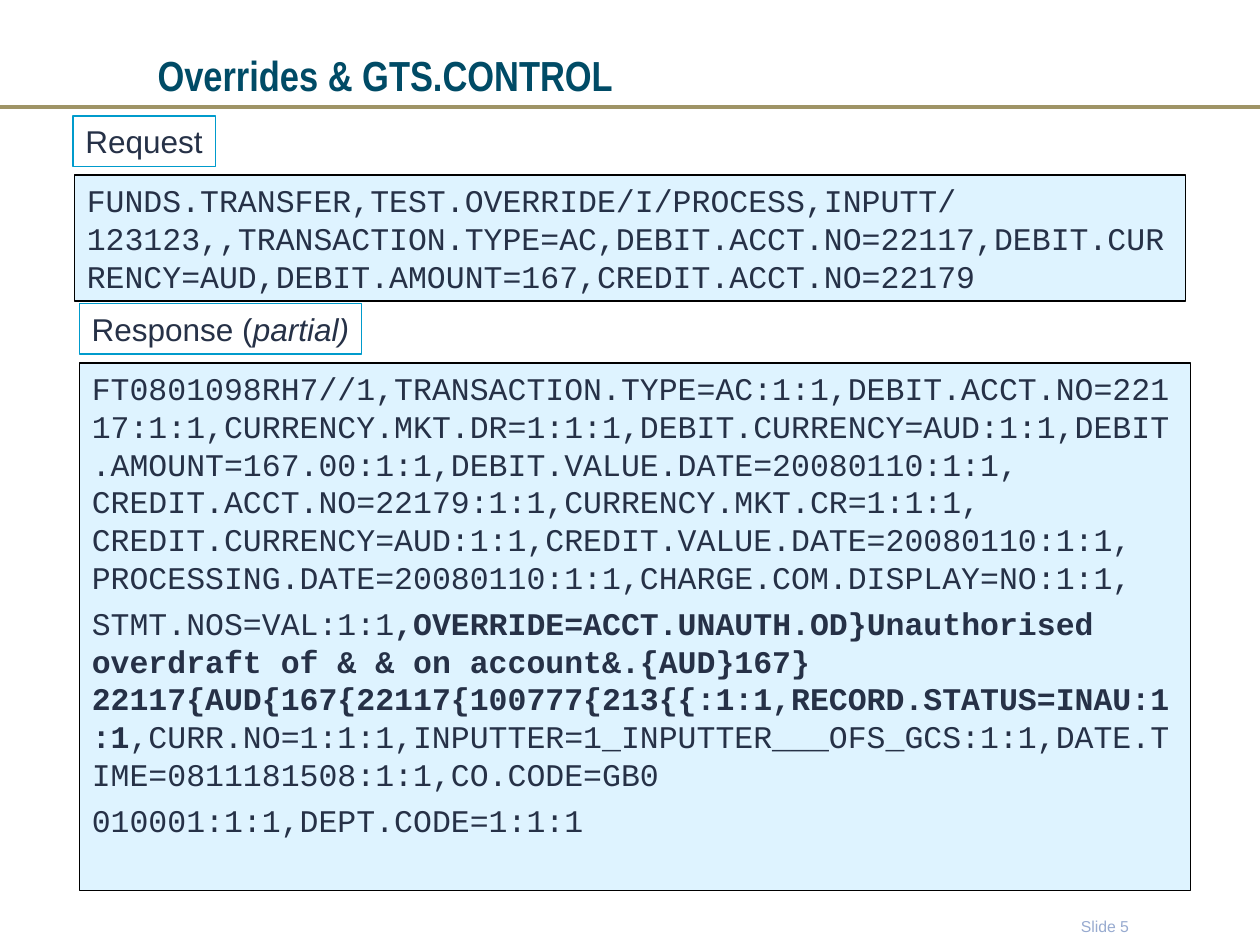
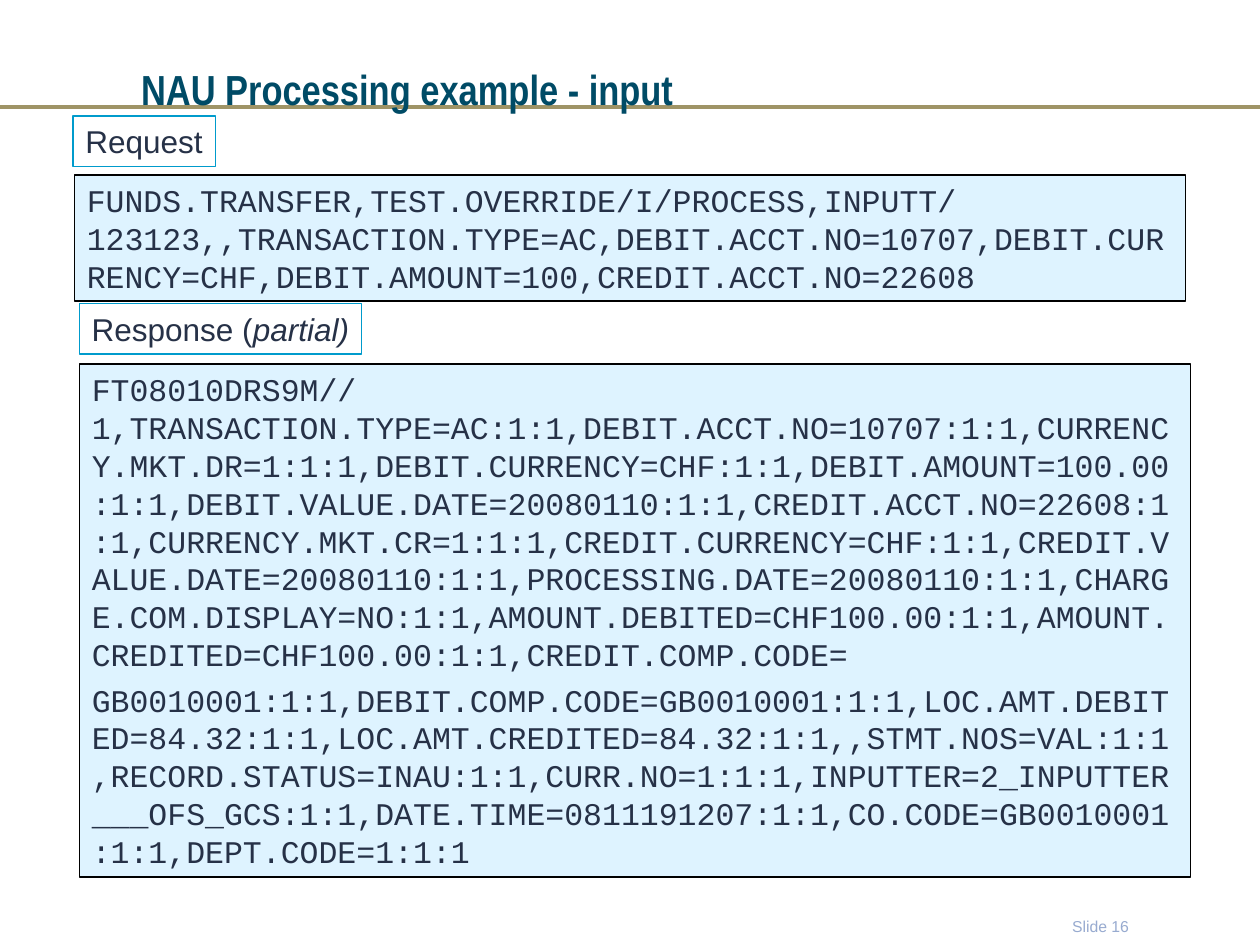
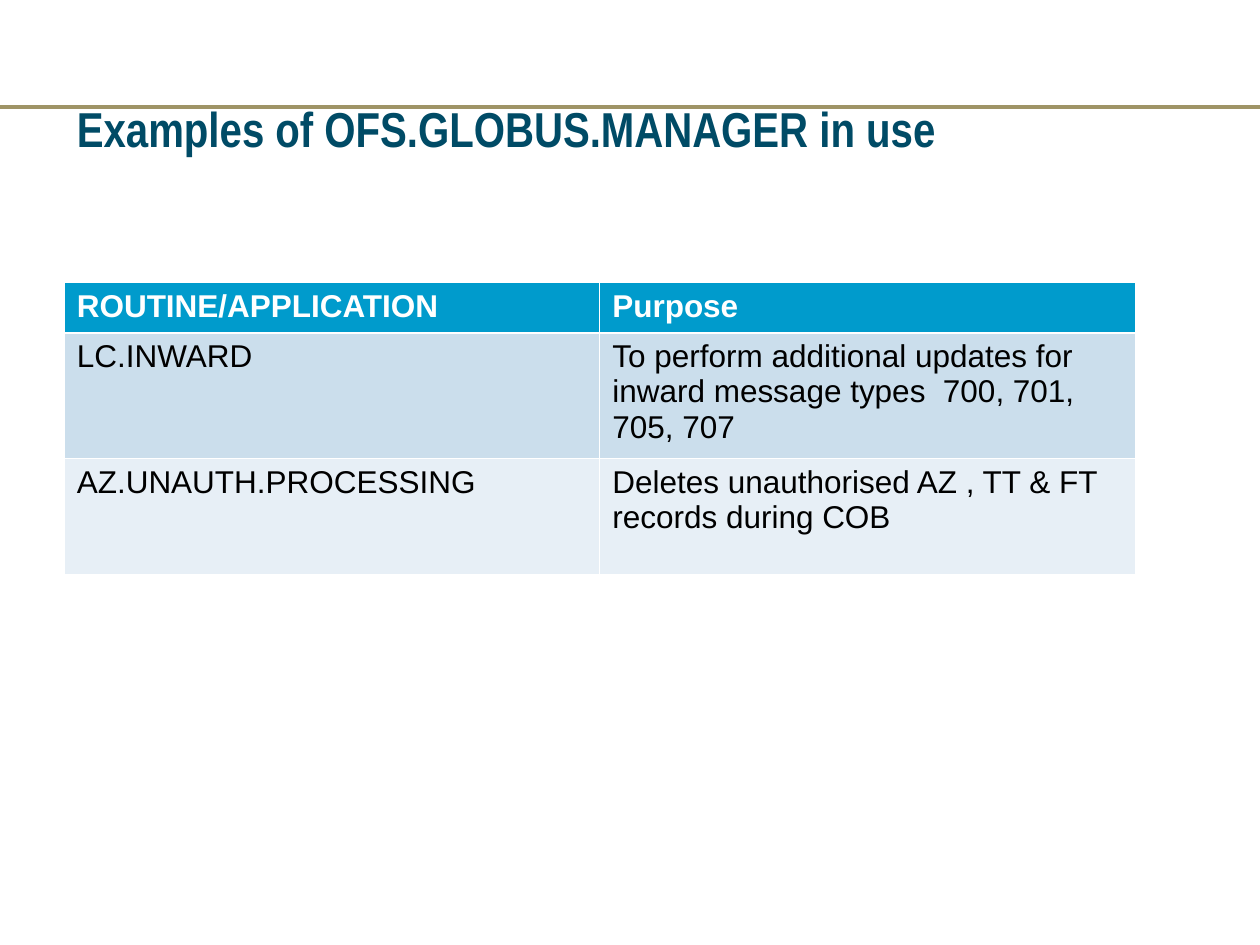
from lxml import etree
from pptx import Presentation
from pptx.dml.color import RGBColor
from pptx.enum.shapes import MSO_CONNECTOR, MSO_SHAPE
from pptx.enum.text import MSO_ANCHOR, MSO_AUTO_SIZE, PP_ALIGN
from pptx.oxml import parse_xml
from pptx.oxml.ns import nsdecls, qn
from pptx.util import Inches, Pt

GOLD = RGBColor(0x9F, 0x94, 0x66)
TEAL = RGBColor(0x00, 0x4B, 0x66)
NAVY = RGBColor(0x26, 0x31, 0x47)
BLUE = RGBColor(0x00, 0x9B, 0xCC)
PALE_BLUE = RGBColor(0xCC, 0xEC, 0xFF)
GREY_BLUE = RGBColor(0x98, 0xAB, 0xD0)
BLACK = RGBColor(0x00, 0x00, 0x00)
WHITE = RGBColor(0xFF, 0xFF, 0xFF)
ROW_FILLS = [BLUE, RGBColor(0xCB, 0xDE, 0xEC), RGBColor(0xE7, 0xEF, 0xF6)]


def write(text_frame, paragraphs, font="Arial", size=18, color=NAVY, bold=False,
          align=PP_ALIGN.LEFT, space_before=0, line_spacing=None):
    """Fill a text frame; each paragraph is a string or a list of (text, style) runs."""
    for index, content in enumerate(paragraphs):
        paragraph = text_frame.add_paragraph() if index else text_frame.paragraphs[0]
        paragraph.alignment = align
        paragraph.space_before = Pt(space_before if index else 0)
        paragraph.line_spacing = line_spacing
        for text, style in [(content, "")] if isinstance(content, str) else content:
            run = paragraph.add_run()
            run.text = text
            run.font.name = font
            run.font.size = Pt(size)
            run.font.color.rgb = color
            run.font.bold = bold or style == "bold"
            run.font.italic = style == "italic"


def add_box(slide, left, top, width, height, line_color):
    box = slide.shapes.add_shape(MSO_SHAPE.RECTANGLE, Inches(left), Inches(top),
                                 Inches(width), Inches(height))
    box.shadow.inherit = False
    box.fill.background()
    box.line.color.rgb = line_color
    box.line.width = Pt(0.75)
    box.text_frame.vertical_anchor = MSO_ANCHOR.TOP
    return box


presentation = Presentation()
presentation.slide_width = Inches(10)
presentation.slide_height = Inches(7.5)

# Slides with their titles: text, left, top, height, size
titles = [
    ("Overrides & GTS.CONTROL", 1.15, 0.32, 0.54, 24),
    ("NAU Processing example - input", 1.02, 0.43, 0.54, 24),
    ("Examples of OFS.GLOBUS.MANAGER in use", 0.51, 0.78, 0.47, 28),
]
slides = []
for text, left, top, height, size in titles:
    slide = presentation.slides.add_slide(presentation.slide_layouts[5])
    title = slide.shapes.title
    title.left, title.top = Inches(left), Inches(top)
    title.width, title.height = Inches(8.98), Inches(height)
    title.text_frame.auto_size = MSO_AUTO_SIZE.NONE
    title.text_frame.vertical_anchor = MSO_ANCHOR.MIDDLE
    write(title.text_frame, [text], font="Arial Narrow", size=size, color=TEAL, bold=True)
    slides.append(slide)

# The gold rule belongs to the master, behind every title
rule = slides[0].shapes.add_connector(MSO_CONNECTOR.STRAIGHT, 0, Inches(0.85),
                                      Inches(10), Inches(0.85))
rule.line.color.rgb = GOLD
rule.line.width = Pt(2)
etree.SubElement(rule._element.spPr, qn("a:effectLst"))
presentation.slide_master.shapes._spTree.append(rule._element)

# Request and response slides
examples = [
    {
        "footer": "Slide 5",
        "request": "FUNDS.TRANSFER,TEST.OVERRIDE/I/PROCESS,INPUTT/123123,,"
                   "TRANSACTION.TYPE=AC,DEBIT.ACCT.NO=22117,DEBIT.CURRENCY=AUD,"
                   "DEBIT.AMOUNT=167,CREDIT.ACCT.NO=22179",
        "response": [
            "FT0801098RH7//1,TRANSACTION.TYPE=AC:1:1,DEBIT.ACCT.NO=22117:1:1,"
            "CURRENCY.MKT.DR=1:1:1,DEBIT.CURRENCY=AUD:1:1,DEBIT.AMOUNT=167.00:1:1,"
            "DEBIT.VALUE.DATE=20080110:1:1, CREDIT.ACCT.NO=22179:1:1,"
            "CURRENCY.MKT.CR=1:1:1, CREDIT.CURRENCY=AUD:1:1,"
            "CREDIT.VALUE.DATE=20080110:1:1, PROCESSING.DATE=20080110:1:1,"
            "CHARGE.COM.DISPLAY=NO:1:1,",
            [("STMT.NOS=VAL:1:1", ""),
             (",OVERRIDE=ACCT.UNAUTH.OD}Unauthorised overdraft of & & on account&."
              "{AUD}167}22117{AUD{167{22117{100777{213{{:1:1,"
              "RECORD.STATUS=INAU:1:1", "bold"),
             (",CURR.NO=1:1:1,INPUTTER=1_INPUTTER___OFS_GCS:1:1,"
              "DATE.TIME=0811181508:1:1,CO.CODE=GB0", "")],
            "010001:1:1,DEPT.CODE=1:1:1",
        ],
        "response_place": (0.63, 2.88, 8.82, 4.19),
    },
    {
        "footer": "Slide 16",
        "request": "FUNDS.TRANSFER,TEST.OVERRIDE/I/PROCESS,INPUTT/123123,,"
                   "TRANSACTION.TYPE=AC,DEBIT.ACCT.NO=10707,DEBIT.CURRENCY=CHF,"
                   "DEBIT.AMOUNT=100,CREDIT.ACCT.NO=22608",
        "response": [
            "FT08010DRS9M//1,TRANSACTION.TYPE=AC:1:1,DEBIT.ACCT.NO=10707:1:1,"
            "CURRENCY.MKT.DR=1:1:1,DEBIT.CURRENCY=CHF:1:1,DEBIT.AMOUNT=100.00:1:1,"
            "DEBIT.VALUE.DATE=20080110:1:1,CREDIT.ACCT.NO=22608:1:1,"
            "CURRENCY.MKT.CR=1:1:1,CREDIT.CURRENCY=CHF:1:1,"
            "CREDIT.VALUE.DATE=20080110:1:1,PROCESSING.DATE=20080110:1:1,"
            "CHARGE.COM.DISPLAY=NO:1:1,AMOUNT.DEBITED=CHF100.00:1:1,"
            "AMOUNT.CREDITED=CHF100.00:1:1,CREDIT.COMP.CODE=",
            "GB0010001:1:1,DEBIT.COMP.CODE=GB0010001:1:1,LOC.AMT.DEBITED=84.32:1:1,"
            "LOC.AMT.CREDITED=84.32:1:1,,STMT.NOS=VAL:1:1,RECORD.STATUS=INAU:1:1,"
            "CURR.NO=1:1:1,INPUTTER=2_INPUTTER___OFS_GCS:1:1,"
            "DATE.TIME=0811191207:1:1,CO.CODE=GB0010001:1:1,DEPT.CODE=1:1:1",
        ],
        "response_place": (0.63, 2.89, 8.82, 4.07),
    },
]
labels = [
    ("Request", (0.58, 0.92, 1.13, 0.4)),
    ([("Response (", ""), ("partial)", "italic")], (0.63, 2.41, 2.24, 0.4)),
]
for slide, example in zip(slides, examples):
    footer = slide.shapes.add_textbox(Inches(8.04), Inches(7.3), Inches(0.97), Inches(0.13))
    frame = footer.text_frame
    frame.word_wrap = True
    frame.vertical_anchor = MSO_ANCHOR.MIDDLE
    frame.margin_left, frame.margin_right = Inches(0.04), Inches(0.05)
    frame.margin_top = frame.margin_bottom = 0
    write(frame, [example["footer"]], size=9, color=GREY_BLUE,
          align=PP_ALIGN.RIGHT, line_spacing=0.85)

    messages = [([example["request"]], (0.59, 1.39, 8.82, 1)),
                (example["response"], example["response_place"])]
    for paragraphs, place in messages:
        message = add_box(slide, *place, BLACK)
        message.fill.solid()
        message.fill.fore_color.rgb = PALE_BLUE
        color_element = message._element.spPr.find(qn("a:solidFill"))[0]
        etree.SubElement(color_element, qn("a:alpha"), val="63000")
        message.text_frame.word_wrap = True
        write(message.text_frame, paragraphs, font="Courier New", space_before=4.5)

    for content, place in labels:
        label = add_box(slide, *place, BLUE)
        label.text_frame.word_wrap = False
        write(label.text_frame, [content])

# Table of routines
rows = [
    ("ROUTINE/APPLICATION", "Purpose"),
    ("LC.INWARD", "To perform additional updates for inward message types  700, 701, 705, 707"),
    ("AZ.UNAUTH.PROCESSING", "Deletes unauthorised AZ , TT & FT records during COB"),
]
table = slides[2].shapes.add_table(3, 2, Inches(0.51), Inches(2.24),
                                   Inches(8.5), Inches(2.32)).table
table.horz_banding = False
for row_index, (texts, height) in enumerate(zip(rows, (0.4, 1, 0.92))):
    table.rows[row_index].height = Inches(height)
    is_header = row_index == 0
    for column_index, text in enumerate(texts):
        cell = table.cell(row_index, column_index)
        for side in ("L", "R", "T", "B"):
            under_header = (row_index, side) in ((0, "B"), (1, "T"))
            width = Pt(1.47 if under_header else 0.45)
            cell._tc.get_or_add_tcPr().append(parse_xml(
                f'<a:ln{side} {nsdecls("a")} w="{width}"><a:solidFill>'
                f'<a:srgbClr val="{WHITE}"/></a:solidFill></a:ln{side}>'))
        cell.fill.solid()
        cell.fill.fore_color.rgb = ROW_FILLS[row_index]
        write(cell.text_frame, [text], color=WHITE if is_header else BLACK, bold=is_header)

presentation.save("out.pptx")
